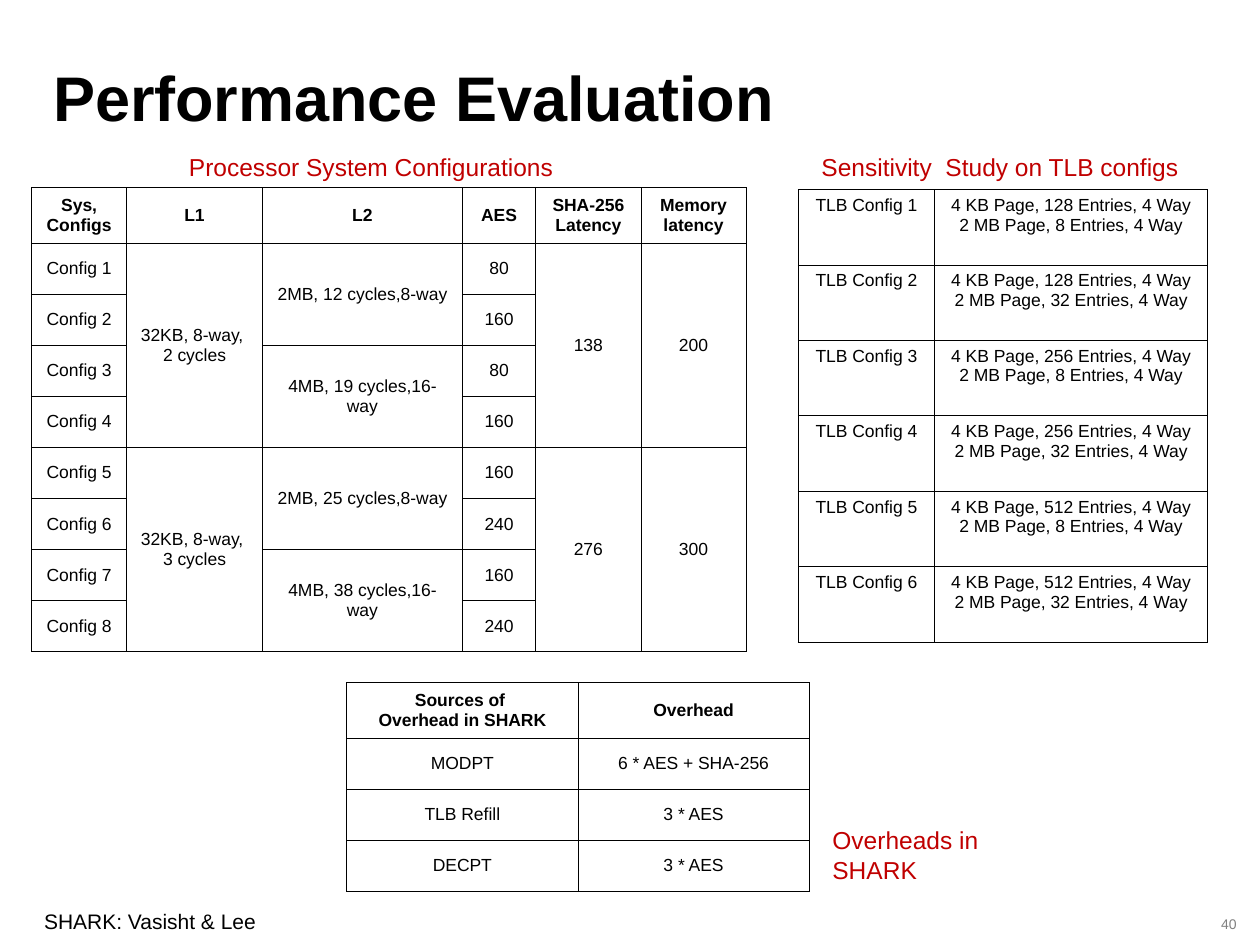
"""Build the Performance Evaluation slide with its three tables."""
from dataclasses import dataclass

from lxml.etree import SubElement
from pptx import Presentation
from pptx.dml.color import RGBColor
from pptx.enum.text import MSO_ANCHOR, MSO_AUTO_SIZE, PP_ALIGN
from pptx.oxml.ns import qn
from pptx.util import Cm, Pt


@dataclass(frozen=True)
class Theme:
    font: str = "Arial"
    black: str = "000000"
    red: str = "C00000"
    gray: str = "808080"
    title: int = 36
    label: int = 14
    foot: int = 12
    cell: int = 10
    page: int = 8
    border: float = 0.45


THEME = Theme()

TITLE = "Performance Evaluation"
LABELS = [
    ("Processor System Configurations", (3.56, 2.95, 7.85, 0.86)),
    ("Sensitivity  Study on TLB configs", (16.31, 2.95, 7.72, 0.86)),
    ("Overheads in SHARK", (16.53, 16.51, 5.28, 0.86)),
]
FOOTER = "SHARK: Vasisht & Lee"
PAGE = "40"

SYSTEM = [
    ("Sys,\nConfigs", "L1", "L2", "AES", "SHA-256\nLatency", "Memory latency"),
    ("Config 1", "32KB, 8-way, \n2 cycles", "2MB, 12 cycles,8-way", "80", "138", "200"),
    ("Config 2", None, None, "160", None, None),
    ("Config 3", None, "4MB, 19 cycles,16-way", "80", None, None),
    ("Config 4", None, None, "160", None, None),
    ("Config 5", "32KB, 8-way, \n3 cycles", "2MB, 25 cycles,8-way", "160", "276", "300"),
    ("Config 6", None, None, "240", None, None),
    ("Config 7", None, "4MB, 38 cycles,16-way", "160", None, None),
    ("Config 8", None, None, "240", None, None),
]
COSTS = [
    ("Sources of \nOverhead in SHARK", "Overhead"),
    ("MODPT", "6 * AES + SHA-256"),
    ("TLB Refill", "3 * AES"),
    ("DECPT", "3 * AES"),
]
PAGES = [(small, large) for small in (128, 256, 512) for large in (8, 32)]
TLB = [
    (f"TLB Config {n}", f"4 KB Page, {small} Entries, 4 Way\n2 MB Page, {large} Entries, 4 Way")
    for n, (small, large) in enumerate(PAGES, 1)
]


def write(frame, text, size=THEME.cell, color=THEME.black, bold=False, align=PP_ALIGN.LEFT):
    for i, line in enumerate(text.split("\n")):
        para = frame.add_paragraph() if i else frame.paragraphs[0]
        para.alignment = align
        run = para.add_run()
        run.text = line
        font = run.font
        font.name, font.size, font.bold = THEME.font, Pt(size), bold
        font.color.rgb = RGBColor.from_string(color)


def add_box(slide, place, text, wrap=True, fit=True, **style):
    frame = slide.shapes.add_textbox(*map(Cm, place)).text_frame
    frame.word_wrap = wrap
    frame.auto_size = MSO_AUTO_SIZE.SHAPE_TO_FIT_TEXT if fit else MSO_AUTO_SIZE.NONE
    write(frame, text, **style)
    return frame


def add_lines(cell):
    props = cell._tc.get_or_add_tcPr()
    for i, side in enumerate(("lnL", "lnR", "lnT", "lnB")):
        line = SubElement(props, qn(f"a:{side}"), w=str(int(Pt(THEME.border))))
        fill = SubElement(line, qn("a:solidFill"))
        SubElement(fill, qn("a:srgbClr"), val=THEME.black)
        props.insert(i, line)


def add_grid(slide, left, top, rows, widths, heights, head=True, anchor=MSO_ANCHOR.MIDDLE):
    place = map(Cm, (left, top, sum(widths), sum(heights)))
    table = slide.shapes.add_table(len(rows), len(widths), *place).table
    table.first_row = table.horz_banding = False
    for col, width in zip(table.columns, widths):
        col.width = Cm(width)
    for row, height in zip(table.rows, heights):
        row.height = Cm(height)
    for r, row in enumerate(rows):
        for c, text in enumerate(row):
            cell = table.cell(r, c)
            cell.fill.background()
            cell.vertical_anchor = anchor
            add_lines(cell)
            if text is not None:
                write(cell.text_frame, text, bold=head and r == 0, align=PP_ALIGN.CENTER)
    for c in range(len(widths)):
        starts = [r for r, row in enumerate(rows) if row[c] is not None]
        for first, after in zip(starts, starts[1:] + [len(rows)]):
            if after - first > 1:
                table.cell(first, c).merge(table.cell(after - 1, c))


def main():
    deck = Presentation()
    deck.slide_width, deck.slide_height = Cm(25.4), Cm(19.05)
    slide = deck.slides.add_slide(deck.slide_layouts[5])

    title = slide.shapes.title
    title.left, title.top, title.width, title.height = map(Cm, (0.89, 0.89, 22.86, 2.11))
    frame = title.text_frame
    frame.auto_size = MSO_AUTO_SIZE.NONE
    frame.vertical_anchor = MSO_ANCHOR.MIDDLE
    frame.margin_left = frame.margin_right = Cm(0.18)
    write(frame, TITLE, size=THEME.title, bold=True)

    add_box(slide, (0.64, 18.2, 7.41, 0.76), FOOTER, size=THEME.foot)
    page = add_box(slide, (23.5, 18.42, 1.68, 0.43), PAGE, fit=False,
                   size=THEME.page, color=THEME.gray, align=PP_ALIGN.RIGHT)
    page.vertical_anchor = MSO_ANCHOR.MIDDLE

    add_grid(slide, 0.64, 3.78, SYSTEM, [1.91, 2.74, 4.03, 1.48, 2.12, 2.12],
             [1.12] + [1.03] * 8)
    add_grid(slide, 6.99, 13.76, COSTS, [4.66] * 2, [1.12] + [1.03] * 3)
    add_grid(slide, 16.09, 3.82, TLB, [2.75, 5.5], [1.52] * 6, head=False, anchor=MSO_ANCHOR.TOP)

    for text, place in LABELS:
        add_box(slide, place, text, wrap=False, size=THEME.label, color=THEME.red)

    deck.save("out.pptx")


if __name__ == "__main__":
    main()
